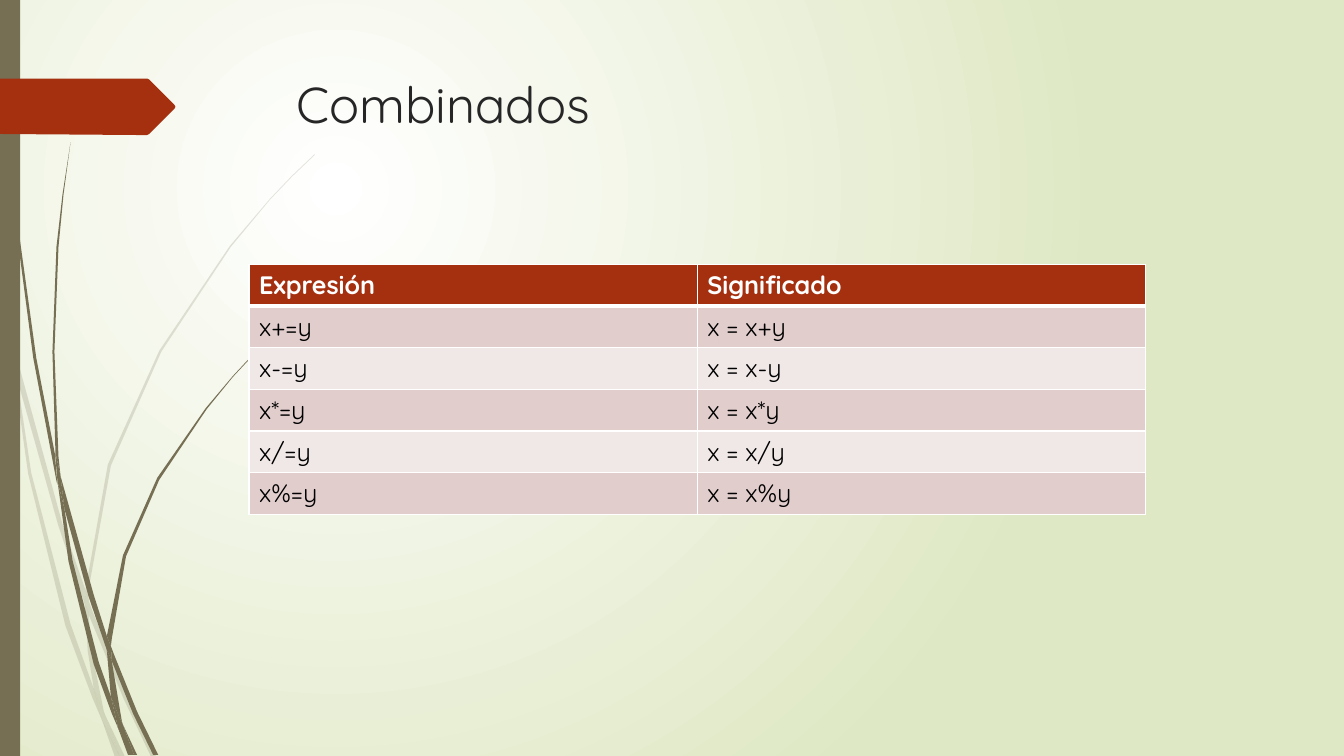
"""Build the slide on combined assignment operators."""
from dataclasses import dataclass

from lxml.etree import SubElement
from pptx import Presentation
from pptx.dml.color import RGBColor
from pptx.enum.shapes import MSO_SHAPE
from pptx.enum.text import MSO_ANCHOR, PP_ALIGN
from pptx.oxml import parse_xml
from pptx.oxml.ns import nsdecls, qn
from pptx.slide import Slide
from pptx.util import Emu, Inches, Pt

HUES = {
    "olive": "766F54", "rust": "A53010", "ink": "262626", "black": "000000",
    "white": "FFFFFF", "lime": "DFE8C4", "rose": "E1CDCC", "blush": "F0E8E7",
}
FACE = "Quicksand"
UNIT = Inches(0.01)


@dataclass(frozen=True)
class Blade:
    """A filled outline with corners in hundredths of an inch."""
    dots: str
    hue: str = "olive"
    alpha: int = 100


@dataclass(frozen=True)
class Style:
    """Text format and fill of one kind of cell."""
    fill: str
    ink: str
    bold: bool
    base: float


PALE = (
    "11,350 9,322 0,282 0,299 10,344",
    "58,522 84,599 85,586 62,520 14,345 17,376",
    "92,607 88,596 88,610 123,694 150,751 155,751 127,692",
    "119,751 124,751 105,711",
    "93,683 70,619 31,469 17,376 11,350 28,470 65,621 92,693 101,714 99,707",
    "84,599 87,646 93,683 96,692 105,711 103,706 91,646 88,610 88,608",
    "88,584 110,462 160,349 229,245 268,198 290,175 312,154 312,153 289,175"
    " 268,197 228,244 158,348 107,461 85,584 85,586 88,596",
    "101,714 114,751 119,751",
    "88,608 88,610 88,596 85,586 84,599",
    "96,692 93,683 99,707 101,714 119,751 105,711",
)
DARK = (
    "7,110 17,233 33,355 56,477 57,481 55,457 55,453 36,355 19,232 8,109 5,48"
    " 4,0 3,0 4,48",
    "88,592 106,645 106,633 106,631 93,590 60,472 64,505",
    "113,649 110,641 111,656 132,708 152,749 157,749 136,706",
    "110,691 98,657 72,556 64,505 57,477 68,557 93,659 111,708 117,722 116,717",
    "60,472 58,453 54,349 58,245 63,193 70,141 62,193 56,245 52,349 55,449",
    "133,749 136,749 122,719",
    "57,477 64,505 60,472 55,449 55,453",
    "111,633 125,552 158,476 205,406 231,374 245,359 261,344 260,344 245,358"
    " 231,373 204,405 156,474 122,551 106,631 110,641",
    "117,722 127,749 131,749",
    "106,645 110,691 116,706 122,719 121,716 111,656 109,651",
    "106,645 109,651 111,656 110,641 106,631 106,633",
    "116,706 110,691 116,717 117,722 130,749 133,749 122,719",
)
ARROW = "173,108 148,133 146,134 136,134 0,133 0,78 146,78 148,79 173,104 174,106"
ROWS = (("Expresión", "Significado"),) + tuple(
    (f"x{sign}=y", f"x = x{sign}y") for sign in "+-*/%"
)
HEAD = Style("rust", "white", True, 3)
BODY = (Style("rose", "black", False, 1), Style("blush", "black", False, 1))


def tint(name: str) -> RGBColor:
    """Look up a colour."""
    return RGBColor.from_string(HUES[name])


def write(frame, text: str, ink: str, **form) -> None:
    """Write one formatted line into a text frame."""
    run = frame.paragraphs[0].add_run()
    run.text = text
    run.font.color.rgb = tint(ink)
    for key, val in {"name": FACE, **form}.items():
        setattr(run.font, key, val)


def paint(shape, hue: str, alpha: int = 100) -> None:
    """Give a shape a plain fill without line or shadow."""
    shape.shadow.inherit = False
    shape.line.fill.background()
    shape.fill.solid()
    shape.fill.fore_color.rgb = tint(hue)
    if alpha < 100:
        tone = shape._element.spPr.find(qn("a:solidFill"))[0]
        SubElement(tone, qn("a:alpha"), val=str(alpha * 1000))


def glow(slide: Slide) -> None:
    """Fill the background with a round gradient."""
    fill = slide.background.fill
    fill.gradient()
    for stop, hue in zip(fill.gradient_stops, ("white", "lime")):
        stop.color.rgb = tint(hue)
    grad = slide._element.xpath(".//a:gradFill")[0]
    for line in grad.findall(qn("a:lin")):
        grad.remove(line)
    grad.append(parse_xml(
        f'<a:path {nsdecls("a")} path="circle">'
        '<a:fillToRect l="50000" t="50000" r="100000" b="100000"/></a:path>'
    ))


def draw(slide: Slide, blade: Blade) -> None:
    """Draw one outline."""
    dots = [tuple(map(int, dot.split(","))) for dot in blade.dots.split()]
    form = slide.shapes.build_freeform(*dots[0], scale=UNIT)
    form.add_line_segments(dots[1:], close=True)
    paint(form.convert_to_shape(), blade.hue, blade.alpha)


def edge(cell, base: float) -> None:
    """Rule a cell in white with a given base width."""
    prop = cell._tc.get_or_add_tcPr()
    for spot, (side, wide) in enumerate(zip("LRTB", (1, 1, 1, base))):
        prop.insert(spot, parse_xml(
            f'<a:ln{side} {nsdecls("a")} w="{Pt(wide)}"><a:solidFill>'
            f'<a:srgbClr val="{HUES["white"]}"/></a:solidFill></a:ln{side}>'
        ))


def grid(slide: Slide) -> None:
    """Add the table of operators."""
    wide, high = Inches(8.89), Inches(2.43)
    table = slide.shapes.add_table(
        len(ROWS), len(ROWS[0]), Inches(2.47), Inches(2.62), wide, high
    ).table
    for row in table.rows:
        row.height = Emu(high // len(ROWS))
    for y, row in enumerate(ROWS):
        style = BODY[(y - 1) % 2] if y else HEAD
        for x, text in enumerate(row):
            cell = table.cell(y, x)
            cell.fill.solid()
            cell.fill.fore_color.rgb = tint(style.fill)
            edge(cell, style.base)
            write(cell.text_frame, text, style.ink, size=Pt(18), bold=style.bold)


def head(slide: Slide) -> None:
    """Place and write the title."""
    title = slide.shapes.title
    spot = {"left": 2.84, "top": 0.68, "width": 9.75, "height": 1.4}
    for key, val in spot.items():
        setattr(title, key, Inches(val))
    title.text_frame.vertical_anchor = MSO_ANCHOR.TOP
    title.text_frame.paragraphs[0].alignment = PP_ALIGN.LEFT
    write(title.text_frame, "Combinados", "ink", size=Pt(36))


def main() -> None:
    """Build and save the slide."""
    deck = Presentation()
    deck.slide_width, deck.slide_height = Inches(13.33), Inches(7.5)
    slide = deck.slides.add_slide(deck.slide_layouts[5])
    glow(slide)
    for dots in PALE:
        draw(slide, Blade(dots, alpha=20))
    for dots in DARK:
        draw(slide, Blade(dots))
    bar = slide.shapes.add_shape(
        MSO_SHAPE.RECTANGLE, 0, 0, Inches(0.2), deck.slide_height
    )
    paint(bar, "olive")
    draw(slide, Blade(ARROW, "rust"))
    head(slide)
    grid(slide)
    deck.save("out.pptx")


if __name__ == "__main__":
    main()
